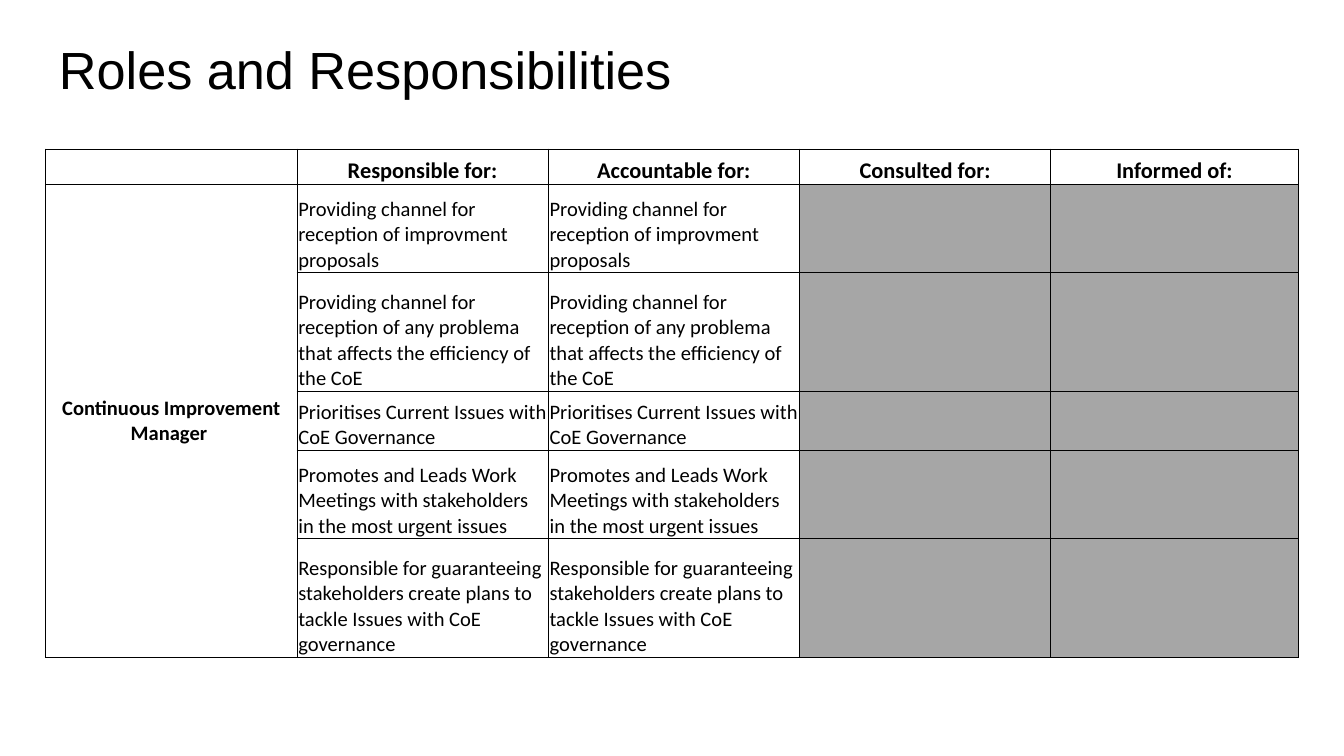
from lxml.etree import SubElement
from pptx import Presentation
from pptx.dml.color import RGBColor
from pptx.enum.text import MSO_ANCHOR, PP_ALIGN
from pptx.oxml.ns import qn
from pptx.util import Inches, Pt

COLORS = {"ink": "000000", "paper": "FFFFFF", "unused": "A6A6A6"}
WIDTH = 10
HEIGHT = WIDTH * 9 / 16
MARGIN = 0.34
CONTENT_WIDTH = WIDTH - 2 * MARGIN
COLUMN_WIDTHS = [1.87] * 4 + [1.84]
ROW_HEIGHTS = [0.26, 0.66, 0.88, 0.44, 0.66, 0.88]
HEADINGS = ["", "Responsible for:", "Accountable for:", "Consulted for:", "Informed of:"]
ROLE = "Continuous Improvement Manager "
DUTIES = [
    "Providing channel for reception of improvment proposals",
    "Providing channel for reception of any problema that affects the efficiency of the CoE",
    "Prioritises Current Issues with CoE Governance",
    "Promotes and Leads Work Meetings with stakeholders in the most urgent issues",
    "Responsible for guaranteeing stakeholders create plans to tackle Issues with CoE governance",
]


def format_runs(paragraph, font_name, size, bold=False):
    for run in paragraph.runs:
        run.font.name = font_name
        run.font.size = Pt(size)
        run.font.bold = bold
        run.font.color.rgb = RGBColor.from_string(COLORS["ink"])


def add_title(slide, text):
    box = slide.shapes.add_textbox(
        Inches(MARGIN), Inches(0.18), Inches(CONTENT_WIDTH), Inches(0.63))
    frame = box.text_frame
    frame.word_wrap = True
    frame.margin_left = frame.margin_right = Inches(0.1)
    frame.margin_top = frame.margin_bottom = Inches(0.1)
    frame.text = text
    format_runs(frame.paragraphs[0], "Arial", 28)


def add_borders(cell):
    properties = cell._tc.get_or_add_tcPr()
    for index, side in enumerate(("lnL", "lnR", "lnT", "lnB")):
        line = properties.makeelement(qn(f"a:{side}"), {"w": str(Pt(0.5))})
        fill = SubElement(line, qn("a:solidFill"))
        SubElement(fill, qn("a:srgbClr"), val=COLORS["ink"])
        properties.insert(index, line)


def fill_cell(cell, text="", color=None, size=11, bold=False, centered=False,
              anchor=MSO_ANCHOR.BOTTOM, inset=0.01):
    cell.margin_left = cell.margin_right = cell.margin_top = Inches(inset)
    cell.margin_bottom = 0
    cell.vertical_anchor = anchor
    if color:
        cell.fill.solid()
        cell.fill.fore_color.rgb = RGBColor.from_string(COLORS[color])
    else:
        cell.fill.background()
    add_borders(cell)
    paragraph = cell.text_frame.paragraphs[0]
    if text:
        paragraph.text = text
        paragraph.alignment = PP_ALIGN.CENTER if centered else PP_ALIGN.LEFT
        format_runs(paragraph, "Calibri", size, bold)
    else:
        SubElement(paragraph._p, qn("a:endParaRPr"), sz=str(size * 100))


def add_roles_table(slide):
    table = slide.shapes.add_table(
        len(ROW_HEIGHTS), len(COLUMN_WIDTHS), Inches(MARGIN), Inches(1.11),
        Inches(sum(COLUMN_WIDTHS)), Inches(sum(ROW_HEIGHTS))).table
    table.first_row = table.horz_banding = False
    for column, width in zip(table.columns, COLUMN_WIDTHS):
        column.width = Inches(width)
    for row, height in zip(table.rows, ROW_HEIGHTS):
        row.height = Inches(height)

    for column, heading in enumerate(HEADINGS):
        fill_cell(table.cell(0, column), heading, size=12, bold=True, centered=True, inset=0)
    for row, duty in enumerate(DUTIES, start=1):
        fill_cell(table.cell(row, 0), ROLE if row == 1 else "", bold=True,
                  centered=True, anchor=MSO_ANCHOR.MIDDLE)
        for column in (1, 2):
            fill_cell(table.cell(row, column), duty)
        for column in (3, 4):
            fill_cell(table.cell(row, column), color="unused")
    table.cell(1, 0).merge(table.cell(len(DUTIES), 0))


def main():
    presentation = Presentation()
    presentation.slide_width = Inches(WIDTH)
    presentation.slide_height = Inches(HEIGHT)
    slide = presentation.slides.add_slide(presentation.slide_layouts[6])
    add_title(slide, "Roles and Responsibilities")
    add_roles_table(slide)
    presentation.save("out.pptx")


if __name__ == "__main__":
    main()
